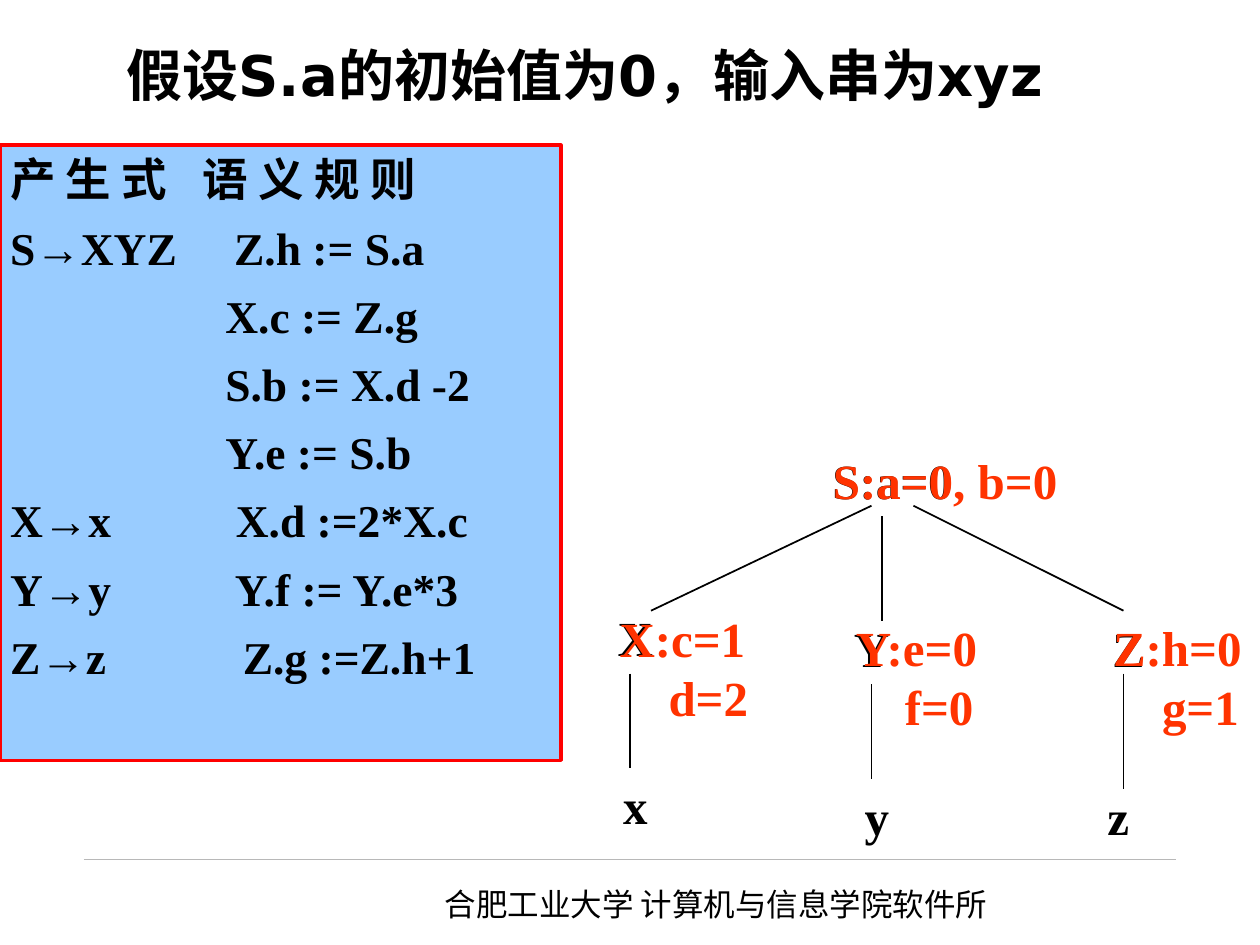
from dataclasses import dataclass

from lxml import etree
from pptx import Presentation
from pptx.dml.color import RGBColor
from pptx.enum.shapes import MSO_CONNECTOR, MSO_SHAPE
from pptx.enum.text import MSO_ANCHOR, MSO_AUTO_SIZE, PP_ALIGN
from pptx.oxml.ns import qn
from pptx.util import Pt

STRAIGHT = MSO_CONNECTOR.STRAIGHT
RECTANGLE = MSO_SHAPE.RECTANGLE
TOP, MIDDLE = MSO_ANCHOR.TOP, MSO_ANCHOR.MIDDLE
LEFT, CENTER = PP_ALIGN.LEFT, PP_ALIGN.CENTER
NO_FIT = MSO_AUTO_SIZE.NONE

COLORS = {
    "text": "000000",
    "value": "FF3300",
    "panel": "99CCFF",
    "border": "FF0000",
    "rule": "B8B8B8",
}
SERIF, SANS, CHINESE = "Times New Roman", "DejaVu Sans", "Noto Sans CJK SC"
NODE_SIZE = 28
NODE_HEIGHT = 42
ATTRIBUTE_HEIGHT = 66


@dataclass
class Node:
    text: str
    left: float
    top: float
    width: float = 90
    color: str = "text"


@dataclass
class Attributes:
    lines: tuple[str, str]
    left: float
    top: float
    width: float
    inset_left: float
    inset_top: float


@dataclass
class Edge:
    start: tuple[float, float]
    end: tuple[float, float]


@dataclass
class RuleRow:
    production: str
    rule: str
    tab: float


NODES = [
    Node("S:a=0", 456, 253, 108),
    Node("X", 318, 343),
    Node("Y", 456, 349, 84),
    Node("Z", 600, 349),
    Node("x", 318, 439),
    Node("y", 456, 445),
    Node("z", 594, 445),
    Node("S:a=0, b=0", 444, 253, 192, "value"),
]
EDGES = [
    Edge((498, 289), (372, 349)),
    Edge((504, 295), (504, 355)),
    Edge((522, 289), (642, 349)),
    Edge((360, 385), (360, 439)),
    Edge((498, 391), (498, 445)),
    Edge((642, 385), (642, 451)),
]
ATTRIBUTES = [
    Attributes(("X:c=1", "d=2"), 348, 349, 84, 6, 2),
    Attributes(("Y:e=0", "f=0"), 480, 355, 84, 9, 1),
    Attributes(("Z:h=0", "g=1"), 630, 355, 90, 6, 1),
]
RULES = [
    RuleRow("产 生 式", "语 义 规 则", 110),
    RuleRow("S→XYZ", "Z.h := S.a", 128),
    RuleRow("", "X.c := Z.g", 123),
    RuleRow("", "S.b := X.d -2", 123),
    RuleRow("", "Y.e := S.b", 123),
    RuleRow("X→x", "X.d :=2*X.c", 129),
    RuleRow("Y→y", "Y.f := Y.e*3", 128.5),
    RuleRow("Z→z", "Z.g :=Z.h+1", 133),
]


def rgb(name: str) -> RGBColor:
    return RGBColor.from_string(COLORS[name])


def format_frame(frame, insets=(7.2, 3.6, 7.2, 3.6), anchor=MIDDLE, wrap=False) -> None:
    frame.auto_size = NO_FIT
    frame.word_wrap = wrap
    frame.vertical_anchor = anchor
    frame.margin_left, frame.margin_top, frame.margin_right, frame.margin_bottom = map(Pt, insets)


def write(para, text: str, size: float, face: str = SERIF, color: str = "text",
          bold: bool = True, align=LEFT) -> None:
    para.text = text
    para.alignment = align
    font = para.font
    font.name, font.size, font.bold = face, Pt(size), bold
    font.color.rgb = rgb(color)
    defaults = para._p.pPr.find(qn("a:defRPr"))
    etree.SubElement(defaults, qn("a:ea")).set("typeface", CHINESE)


def add_text_box(page, left: float, top: float, width: float, height: float):
    return page.shapes.add_textbox(Pt(left), Pt(top), Pt(width), Pt(height)).text_frame


def add_node(page, node: Node) -> None:
    frame = add_text_box(page, node.left, node.top, node.width, NODE_HEIGHT)
    format_frame(frame)
    write(frame.paragraphs[0], node.text, NODE_SIZE, color=node.color, align=CENTER)


def add_attributes(page, item: Attributes) -> None:
    frame = add_text_box(page, item.left, item.top, item.width, ATTRIBUTE_HEIGHT)
    format_frame(frame, (item.inset_left, item.inset_top, 7.2, 3.6))
    first, second = frame.paragraphs[0], frame.add_paragraph()
    for para, text in zip((first, second), item.lines):
        write(para, text, NODE_SIZE, color="value")
    second._p.pPr.set("marL", str(Pt(NODE_SIZE)))


def add_line(page, edge: Edge, color: str = "text", width: float = 1) -> None:
    line = page.shapes.add_connector(STRAIGHT, *map(Pt, edge.start + edge.end))
    line.line.color.rgb = rgb(color)
    line.line.width = Pt(width)
    etree.SubElement(line._element.spPr, qn("a:effectLst"))


def set_tab(para, position: float) -> None:
    properties = para._p.pPr
    tabs = etree.Element(qn("a:tabLst"))
    etree.SubElement(tabs, qn("a:tab"), pos=str(Pt(position)), algn="l")
    properties.find(qn("a:defRPr")).addprevious(tabs)


def add_rules_panel(page) -> None:
    panel = page.shapes.add_shape(RECTANGLE, Pt(0), Pt(83), Pt(320.5), Pt(351.5))
    panel.shadow.inherit = False
    panel.fill.solid()
    panel.fill.fore_color.rgb = rgb("panel")
    panel.line.color.rgb = rgb("border")
    panel.line.width = Pt(2)
    frame = panel.text_frame
    format_frame(frame, (5.76, 3.6, 0, 3.6), TOP, True)
    for index, row in enumerate(RULES):
        para = frame.add_paragraph() if index else frame.paragraphs[0]
        write(para, f"{row.production}\t{row.rule}", 26)
        para.space_before = Pt(7.8)
        set_tab(para, row.tab)


def add_title(page) -> None:
    title = page.shapes.title
    title.left, title.top, title.width, title.height = Pt(65), Pt(20), Pt(612), Pt(45)
    format_frame(title.text_frame, wrap=True)
    write(title.text_frame.paragraphs[0], "假设S.a的初始值为0，输入串为xyz", 32, SANS)


def add_footer(page) -> None:
    add_line(page, Edge((48, 491), (672, 491)), "rule", 0.25)
    frame = add_text_box(page, 247, 502, 374, 29)
    format_frame(frame, anchor=TOP, wrap=True)
    write(frame.paragraphs[0], "合肥工业大学 计算机与信息学院软件所", 18, CHINESE, bold=False)


def main() -> None:
    deck = Presentation()
    deck.slide_width, deck.slide_height = Pt(720), Pt(540)
    page = deck.slides.add_slide(deck.slide_layouts[5])
    add_footer(page)
    add_title(page)
    add_rules_panel(page)
    for node in NODES:
        add_node(page, node)
    for edge in EDGES:
        add_line(page, edge)
    for item in ATTRIBUTES:
        add_attributes(page, item)
    deck.save("out.pptx")


if __name__ == "__main__":
    main()
